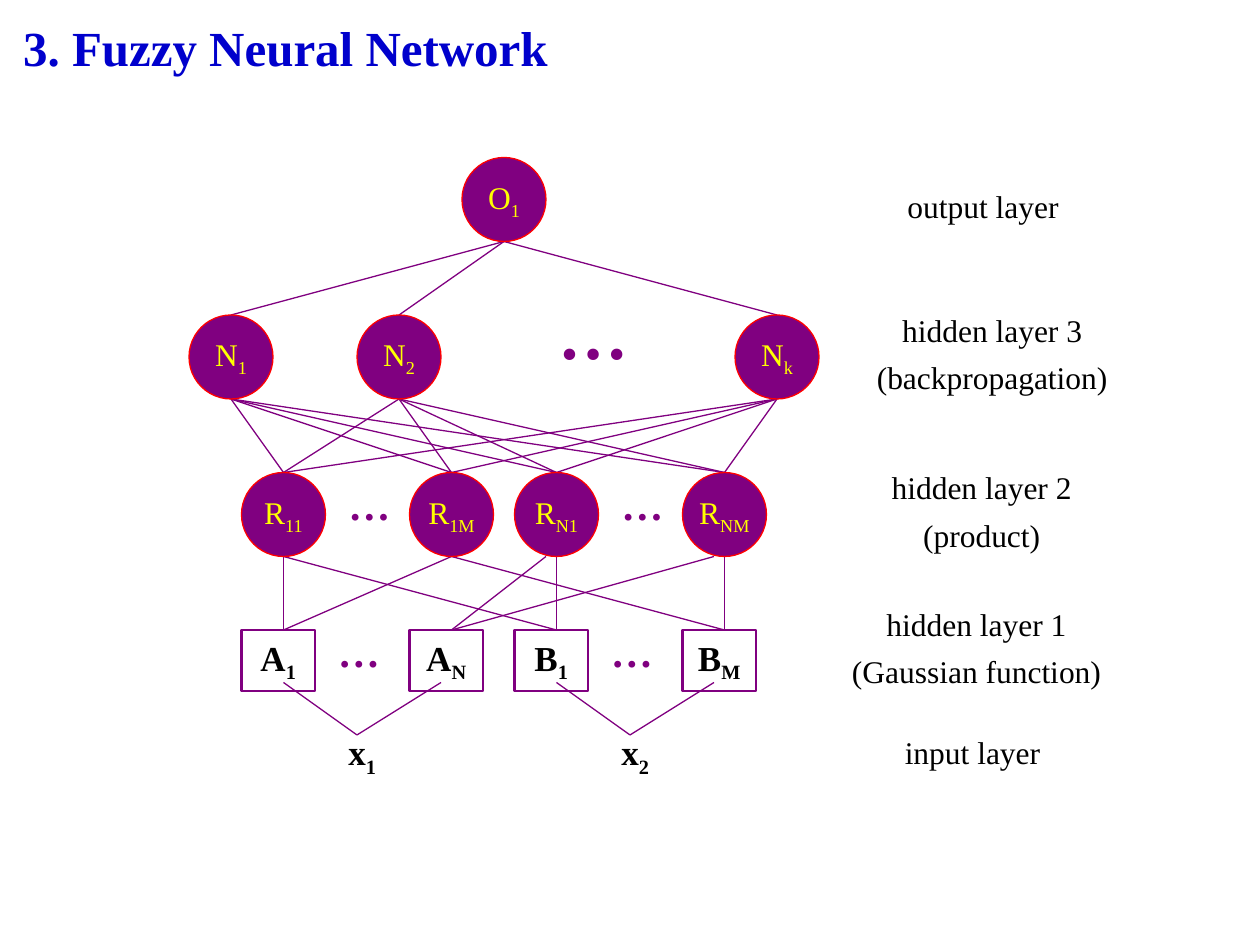
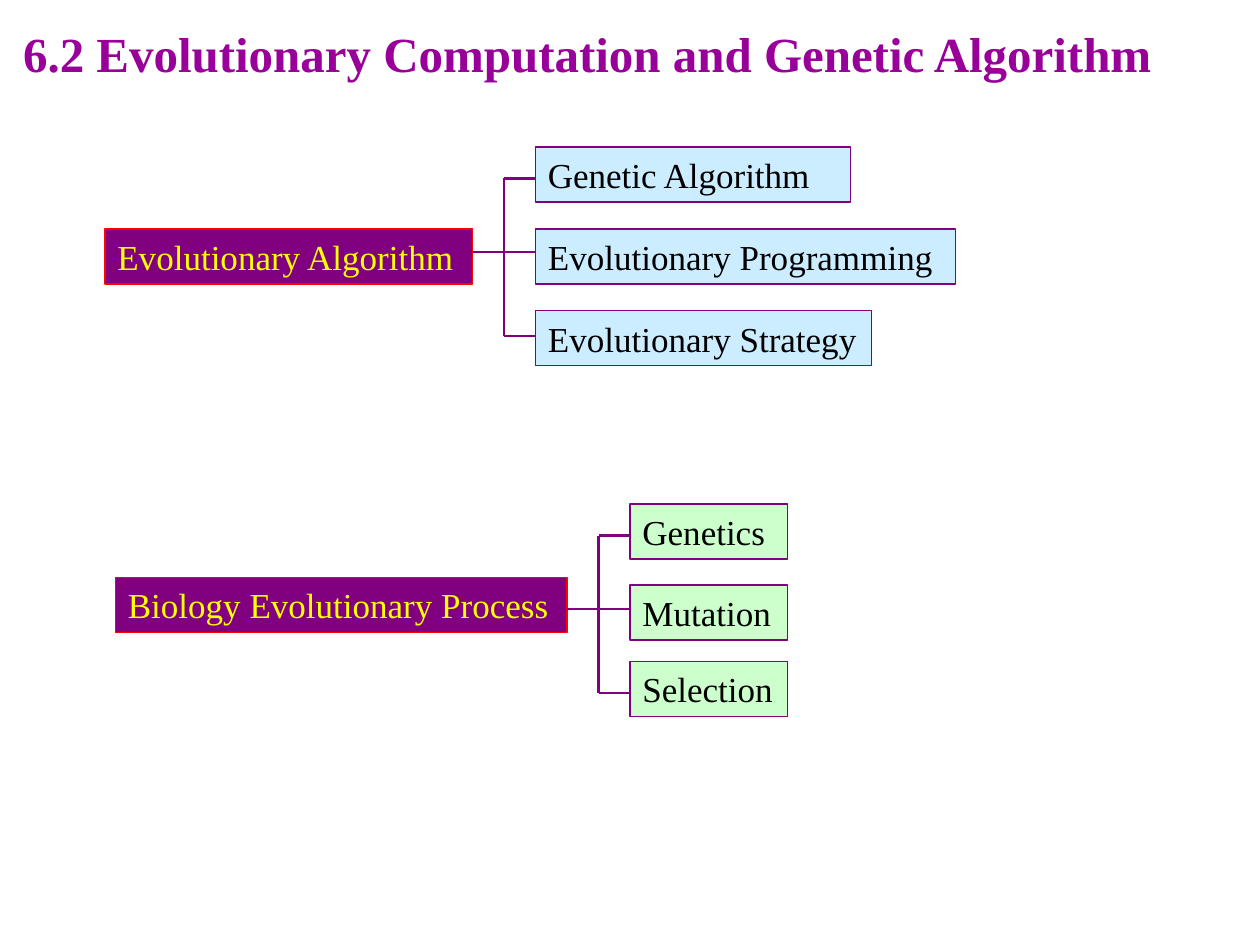
import itertools

import pptx
import pptx.dml.color
import pptx.enum.shapes
import pptx.enum.text
import pptx.oxml.ns
import pptx.util
from lxml import etree

Shapes = pptx.enum.shapes.MSO_SHAPE
Align = pptx.enum.text.PP_ALIGN
Anchor = pptx.enum.text.MSO_ANCHOR

COLORS = {
    "purple": "800080",
    "red": "FF0000",
    "yellow": "FFFF00",
    "black": "000000",
    "blue": "0000CC",
    "violet": "990099",
    "sky": "CCECFF",
    "mint": "CCFFCC",
}
FONT = "Times New Roman"
GRID_CM = 2.54 / 12
NODE = 8
BOX_WIDTH, BOX_HEIGHT = 7, 5.8
BAR_HEIGHT = 5.25


def grid(*counts):
    """Lengths for counts of grid steps, twelve steps to the inch."""
    return [pptx.util.Cm(count * GRID_CM) for count in counts]


def color(name):
    return pptx.dml.color.RGBColor.from_string(COLORS[name])


def write(shape, text, size=18, ink="black", bold=False, align=Align.LEFT,
          anchor=Anchor.TOP, wrap=True, gap=0):
    """Fill a shape with lines of text; what follows "_" is a subscript."""
    frame = shape.text_frame
    frame.word_wrap = wrap
    frame.vertical_anchor = anchor
    for index, line in enumerate(text.split("\n")):
        paragraph = frame.add_paragraph() if index else frame.paragraphs[0]
        paragraph.alignment = align
        paragraph.space_before = pptx.util.Pt(gap if index else 0)
        for part, words in enumerate(line.split("_")):
            run = paragraph.add_run()
            run.text = words
            run.font.name = FONT
            run.font.size = pptx.util.Pt(size)
            run.font.bold = bold
            run.font.color.rgb = color(ink)
            if part:
                run._r.get_or_add_rPr().set("baseline", "-25000")


class Deck:
    def __init__(self):
        self.presentation = pptx.Presentation()
        self.presentation.slide_width = pptx.util.Cm(25.4)
        self.presentation.slide_height = pptx.util.Cm(19.05)
        self.slide = None

    def start(self, title, ink, width, height):
        layout = self.presentation.slide_layouts[5]
        self.slide = self.presentation.slides.add_slide(layout)
        shape = self.slide.shapes.title
        shape.left, shape.top, shape.width, shape.height = grid(1, 1, width, height)
        write(shape, title, size=28, ink=ink, bold=True, anchor=Anchor.MIDDLE)

    def shape(self, kind, area, fill, outline, weight=0.75):
        shape = self.slide.shapes.add_shape(kind, *grid(*area))
        shape.shadow.inherit = False
        if fill:
            shape.fill.solid()
            shape.fill.fore_color.rgb = color(fill)
        else:
            shape.fill.background()
        shape.line.color.rgb = color(outline)
        shape.line.width = pptx.util.Pt(weight)
        return shape

    def node(self, text, left, top):
        circle = self.shape(Shapes.OVAL, (left, top, NODE, NODE), "purple", "red")
        write(circle, text, ink="yellow", align=Align.CENTER,
              anchor=Anchor.MIDDLE, wrap=False)

    def box(self, text, left, top):
        box = self.shape(Shapes.RECTANGLE, (left, top, BOX_WIDTH, BOX_HEIGHT),
                         None, "purple", weight=1.5)
        write(box, text, size=20, bold=True, align=Align.CENTER)

    def bar(self, text, left, top, width, fill, outline="purple", ink="black"):
        bar = self.shape(Shapes.RECTANGLE, (left, top, width, BAR_HEIGHT), fill, outline)
        write(bar, text, size=20, ink=ink)

    def label(self, text, left, top, width, height, **style):
        write(self.slide.shapes.add_textbox(*grid(left, top, width, height)), text, **style)

    def line(self, start, end, weight=0.75):
        connector = self.slide.shapes.add_connector(
            pptx.enum.shapes.MSO_CONNECTOR.STRAIGHT, *grid(*start, *end))
        connector.line.color.rgb = color("purple")
        connector.line.width = pptx.util.Pt(weight)
        etree.SubElement(connector._element.spPr, pptx.oxml.ns.qn("a:effectLst"))

    def tree(self, parent, parent_area, children, children_tops, widths, fill):
        """Parent bar joined by a bracket to a column of child bars."""
        left, top, width = parent_area
        self.bar(parent, left, top, width, "purple", "red", "yellow")
        right = left + width
        spine, column = right + 3, right + 6
        for child, child_top, child_width in zip(children, children_tops, widths):
            self.bar(child, column, child_top, child_width, fill)
        upper, middle, lower = (children_tops[0] + drop for drop in (3, 10, 18))
        self.line((right, middle), (column, middle), 1.5)
        self.line((spine, upper), (spine, lower), 1.5)
        for level in (upper, lower):
            self.line((spine, level), (column, level), 1.5)


def build_network(deck):
    deck.start("3. Fuzzy Neural Network", "blue", 80, 7)
    output_top, class_top, rule_top, member_top, input_top = 15, 30, 45, 60, 69
    output_left = 44
    classes = {"N_1": 18, "N_2": 34, "N_k": 70}
    rules = {"R_11": 23, "R_1M": 39, "R_N1": 49, "R_NM": 65}
    members = dict(zip(("A_1", "A_N", "B_1", "B_M"), rules.values()))
    half = NODE / 2

    for left in classes.values():
        deck.line((output_left + half, output_top + NODE), (left + half, class_top))
    for upper, lower in itertools.product(classes.values(), rules.values()):
        deck.line((upper + half, class_top + NODE), (lower + half, rule_top))
    rule_links = [(27, 27), (43, 27), (52, 43), (68, 43),
                  (27, 53), (53, 53), (43, 69), (69, 69)]
    for rule_x, member_x in rule_links:
        deck.line((rule_x, rule_top + NODE), (member_x, member_top))

    deck.node("O_1", output_left, output_top)
    for row, top in ((classes, class_top), (rules, rule_top)):
        for text, left in row.items():
            deck.node(text, left, top)
    for text, left in members.items():
        deck.box(text, left, member_top)

    for text, left, ends in (("x_1", 31, (27, 42)), ("x_2", 57, (53, 68))):
        deck.label(text, left, input_top, BOX_WIDTH, BOX_HEIGHT,
                   size=20, bold=True, align=Align.CENTER)
        for end in ends:
            deck.line((left + 3, input_top + 1), (end, input_top - 4))

    dots = {"ink": "purple", "bold": True}
    deck.label("…", 52, 27, 10, 9.2, size=40, **dots)
    for left, top in ((32, 45), (58, 45), (31, 59), (57, 59)):
        deck.label("…", left, top, 7, 6, size=24, **dots)

    layer_names = [
        ("output layer ", 84, 17.2, 20, 4.8),
        ("hidden layer 3\n(backpropagation)", 82, 29, 25, 9.2),
        ("hidden layer 2\n(product)", 81, 44, 25, 9.2),
        ("hidden layer 1\n(Gaussian function)", 79, 57, 28, 9.2),
        ("input layer ", 83, 69.2, 20, 4.8),
    ]
    for name in layer_names:
        deck.label(*name, align=Align.CENTER, gap=5.5)


def build_evolution(deck):
    deck.start("6.2 Evolutionary Computation and Genetic Algorithm", "violet", 116, 8)
    deck.tree("Evolutionary Algorithm", (10, 21.8, 35),
              ("Genetic Algorithm", "Evolutionary Programming", "Evolutionary Strategy"),
              (14, 21.8, 29.6), (30, 40, 32), "sky")
    deck.tree("Biology Evolutionary Process", (11, 55, 43),
              ("Genetics", "Mutation", "Selection"),
              (48, 55.7, 63), (15, 15, 15), "mint")


def main():
    deck = Deck()
    build_network(deck)
    build_evolution(deck)
    deck.presentation.save("out.pptx")


if __name__ == "__main__":
    main()
